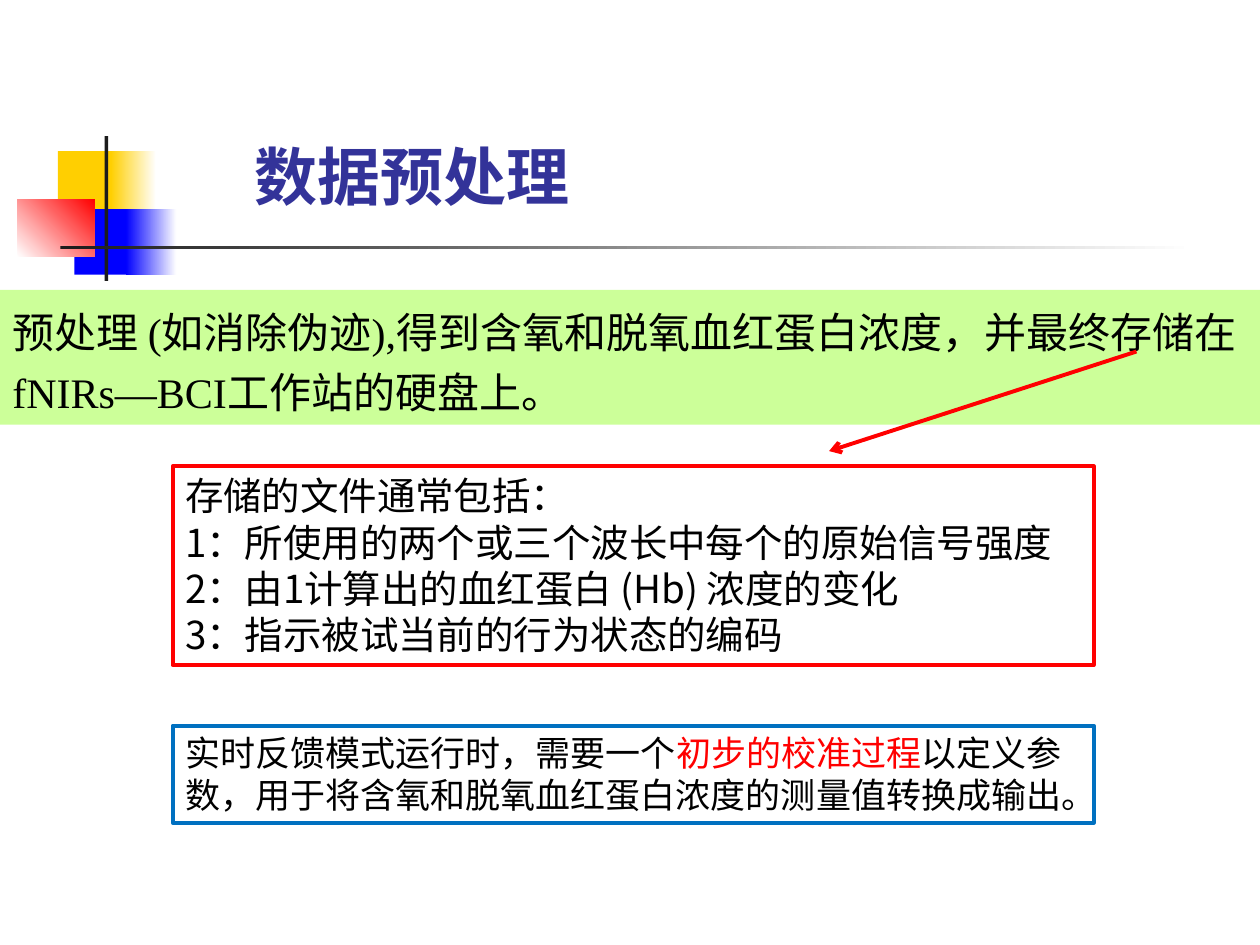
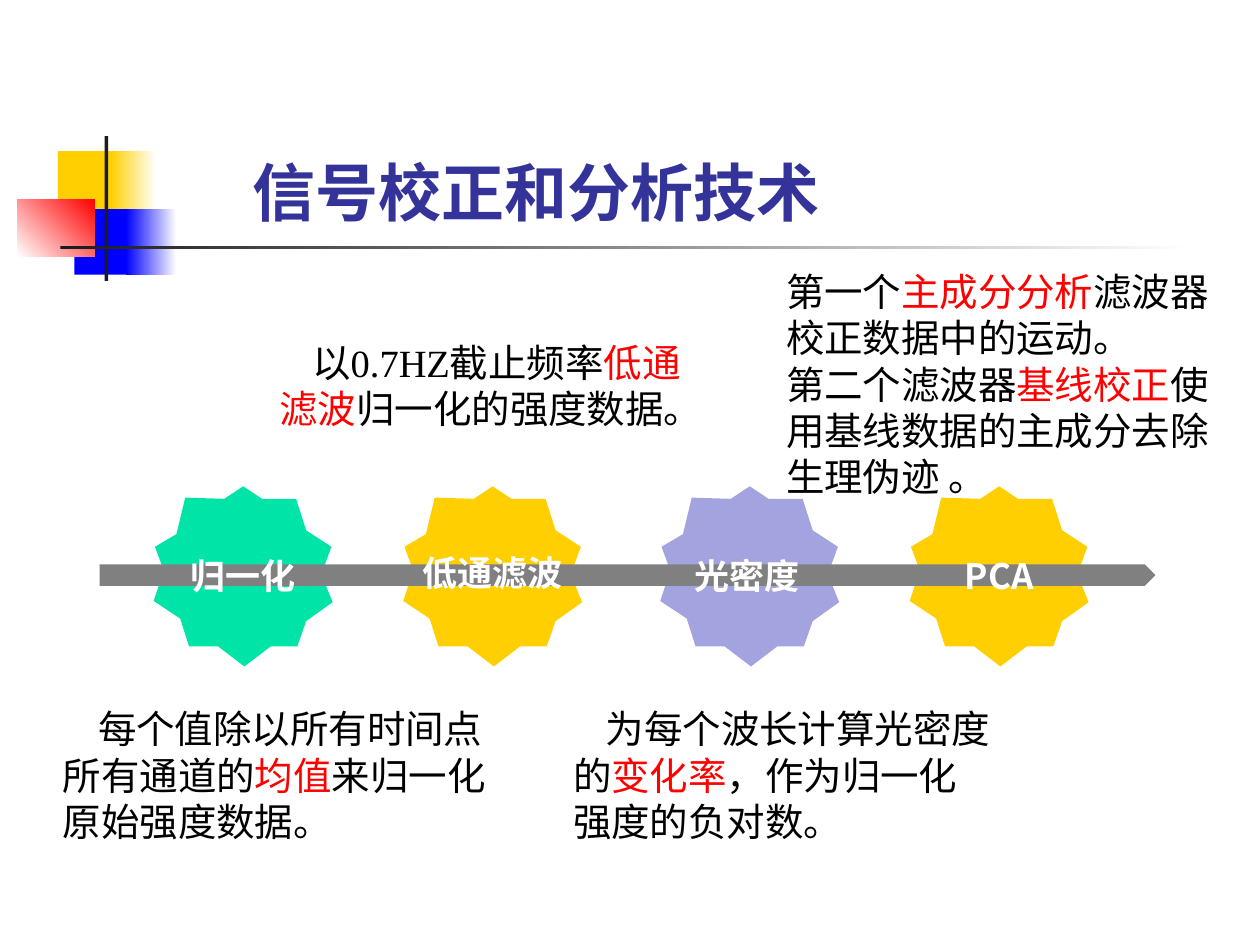
from dataclasses import dataclass

from lxml.etree import SubElement
from pptx import Presentation
from pptx.dml.color import RGBColor
from pptx.enum.shapes import MSO_CONNECTOR, MSO_SHAPE
from pptx.enum.text import MSO_ANCHOR, PP_ALIGN
from pptx.oxml.ns import qn
from pptx.util import Inches, Pt

COLORS = {
    "black": "000000", "white": "FFFFFF", "red": "FF0000", "yellow": "FFCF01",
    "blue": "0000FF", "ink": "1C1C1C", "title": "333399", "lime": "CCFF99",
    "frame": "0070C0", "mint": "00E4A8", "lilac": "A3A3E0", "gray": "808080",
}
SANS, SERIF = "Noto Sans CJK SC", "Times New Roman"
FRAME_WIDTH = Pt(2.25)
TITLE = {"size": Pt(36), "name": SANS, "bold": True}
BADGE = {"size": Pt(20), "name": SANS, "bold": True}
NOTE = {"size": Pt(22), "name": SERIF}

Box = tuple[float, float, float, float]
Runs = list[tuple[str, str]]  # text and colour name


@dataclass
class Block:
    """A rectangle of the title ornament, fading from start to end if end is set."""
    box: Box
    start: str
    end: str = ""
    angle: float = 0


@dataclass
class Panel:
    """Text in a box; each paragraph is a list of coloured runs."""
    box: Box
    paragraphs: list[Runs]
    font: dict
    fill: str = ""
    line: str = ""
    indent: float = 0
    align: PP_ALIGN = PP_ALIGN.LEFT
    anchor: MSO_ANCHOR = MSO_ANCHOR.TOP
    spacing: float = 1.0
    before: float = 0


@dataclass
class Step:
    """A star on the timeline with its label."""
    offset: float
    color: str
    label: str
    label_box: Box


ORNAMENT = [
    Block((0.46, 1.2, 0.48, 0.52), "yellow"),
    Block((0.88, 1.2, 0.36, 0.52), "yellow", "white"),
    Block((0.59, 1.66, 0.46, 0.52), "blue"),
    Block((1, 1.66, 0.4, 0.52), "blue", "white"),
    Block((0.14, 1.58, 0.61, 0.46), "white", "red", 45),
    Block((0.83, 1.08, 0.03, 1.15), "ink"),
    Block((0.48, 1.95, 9, 0.03), "ink", "white"),
]
STAR = [
    (1.93, 3.86), (2.08, 3.96), (2.35, 3.96), (2.43, 4.21), (2.63, 4.34),
    (2.55, 4.56), (2.64, 4.78), (2.43, 4.93), (2.36, 5.13), (2.15, 5.13),
    (1.94, 5.29), (1.73, 5.13), (1.5, 5.13), (1.43, 4.91), (1.22, 4.77),
    (1.3, 4.53), (1.23, 4.34), (1.4, 4.24), (1.47, 3.95), (1.78, 3.96),
]
STEPS = [
    Step(0, "mint", "归一化", (1.33, 4.35, 1.2, 0.47)),
    Step(1.98, "yellow", "低通滤波", (3.22, 4.33, 1.38, 0.43)),
    Step(4.02, "lilac", "光密度", (5.33, 4.35, 1.2, 0.43)),
    Step(6, "yellow", "PCA", (7.33, 4.35, 1.2, 0.43)),
]
STORAGE_PANELS = [
    Panel((0, 2.3, 10, 1.07),
          [[("预处理 (如消除伪迹),得到含氧和脱氧血红蛋白浓度，并最终存储在 fNIRs—BCI工作站的硬盘上。", "black")]],
          {"size": Pt(24), "name": SERIF}, fill="lime", spacing=1.2, before=4.8),
    Panel((1.37, 3.7, 7.31, 1.58),
          [[(line, "black")] for line in (
              "存储的文件通常包括：",
              "1：所使用的两个或三个波长中每个的原始信号强度",
              "2：由1计算出的血红蛋白 (Hb) 浓度的变化",
              "3：指示被试当前的行为状态的编码")],
          {"size": Pt(22), "name": SANS}, line="red"),
    Panel((1.37, 5.76, 7.31, 0.77),
          [[("实时反馈模式运行时，需要一个", "black"), ("初步的校准过程", "red"),
            ("以定义参数，用于将含氧和脱氧血红蛋白浓度的测量值转换成输出。", "black")]],
          {"size": Pt(20), "name": SANS}, line="frame"),
]
STEP_NOTES = [
    Panel((0.4, 5.55, 3.68, 1.21),
          [[("每个值除以所有时间点所有通道的", "black"), ("均值", "red"),
            ("来归一化原始强度数据。", "black")]], NOTE, indent=0.28),
    Panel((2.12, 2.64, 3.42, 0.84),
          [[("以0.7HZ截止频率", "black"), ("低通滤波", "red"),
            ("归一化的强度数据。", "black")]], NOTE, indent=0.26),
    Panel((4.45, 5.55, 3.55, 1.21),
          [[("为每个波长计算光密度的", "black"), ("变化率", "red"),
            ("，作为归一化强度的负对数。", "black")]], NOTE, indent=0.26),
    Panel((6.14, 2.08, 3.57, 1.95),
          [[("第一个", "black"), ("主成分分析", "red"), ("滤波器校正数据中的运动。", "black")],
           [("第二个滤波器", "black"), ("基线校正", "red"),
            ("使用基线数据的主成分去除生理伪迹 。", "black")]], NOTE),
]


def rgb(name: str) -> RGBColor:
    return RGBColor.from_string(COLORS[name])


def paint(sp, color: str) -> None:
    """Give a shape a plain fill, no outline and no shadow."""
    sp.fill.solid()
    sp.fill.fore_color.rgb = rgb(color)
    sp.line.fill.background()
    sp.shadow.inherit = False


def add_block(s, block: Block, kind: MSO_SHAPE = MSO_SHAPE.RECTANGLE) -> None:
    sp = s.shapes.add_shape(kind, *map(Inches, block.box))
    paint(sp, block.start)
    if block.end:
        sp.fill.gradient()
        sp.fill.gradient_angle = block.angle
        for stop, color in zip(sp.fill.gradient_stops, (block.start, block.end)):
            stop.color.rgb = rgb(color)


def add_panel(s, panel: Panel) -> None:
    sp = s.shapes.add_textbox(*map(Inches, panel.box))
    if panel.fill:
        paint(sp, panel.fill)
    if panel.line:
        sp.line.color.rgb = rgb(panel.line)
        sp.line.width = FRAME_WIDTH
    tf = sp.text_frame
    tf.word_wrap = True
    tf.vertical_anchor = panel.anchor
    for i, runs in enumerate(panel.paragraphs):
        p = tf.add_paragraph() if i else tf.paragraphs[0]
        p.alignment = panel.align
        p.line_spacing = panel.spacing
        p.space_before = Pt(panel.before)
        if panel.indent:
            p._p.get_or_add_pPr().set("indent", str(Inches(panel.indent)))
        for text, color in runs:
            r = p.add_run()
            r.text = text
            for key, value in panel.font.items():
                setattr(r.font, key, value)
            r.font.color.rgb = rgb(color)
            SubElement(r._r.get_or_add_rPr(), qn("a:ea"), typeface=SANS)


def add_arrow(s, start: tuple[float, float], end: tuple[float, float]) -> None:
    cxn = s.shapes.add_connector(MSO_CONNECTOR.STRAIGHT, *map(Inches, start + end))
    cxn.line.color.rgb = rgb("red")
    cxn.line.width = FRAME_WIDTH
    SubElement(cxn.line._get_or_add_ln(), qn("a:tailEnd"), type="arrow")
    SubElement(cxn._element.spPr, qn("a:effectLst"))


def add_star(s, step: Step) -> None:
    points = [(Inches(x + step.offset), Inches(y)) for x, y in STAR]
    builder = s.shapes.build_freeform(*points[0])
    builder.add_line_segments(points[1:], close=True)
    paint(builder.convert_to_shape(), step.color)


def add_titled_slide(prs, title: str, box: Box):
    s = prs.slides.add_slide(prs.slide_layouts[6])
    for block in ORNAMENT:
        add_block(s, block)
    add_panel(s, Panel(box, [[(title, "title")]], TITLE, anchor=MSO_ANCHOR.BOTTOM))
    return s


def main() -> None:
    prs = Presentation()
    prs.slide_width, prs.slide_height = Inches(10), Inches(7.5)

    # Preprocessing and stored files
    s = add_titled_slide(prs, "数据预处理", (1.92, 0.14, 8.52, 1.6))
    for panel in STORAGE_PANELS:
        add_panel(s, panel)
    add_arrow(s, (9.02, 2.79), (6.58, 3.58))

    # Timeline of correction steps
    s = add_titled_slide(prs, "信号校正和分析技术", (1.91, 0.27, 7.3, 1.6))
    for step in STEPS:
        add_star(s, step)
    add_block(s, Block((0.79, 4.48, 8.38, 0.17), "gray"), MSO_SHAPE.PENTAGON)
    for step in STEPS:
        add_panel(s, Panel(step.label_box, [[(step.label, "white")]], BADGE,
                           align=PP_ALIGN.CENTER))
    for note in STEP_NOTES:
        add_panel(s, note)

    prs.save("out.pptx")


if __name__ == "__main__":
    main()
